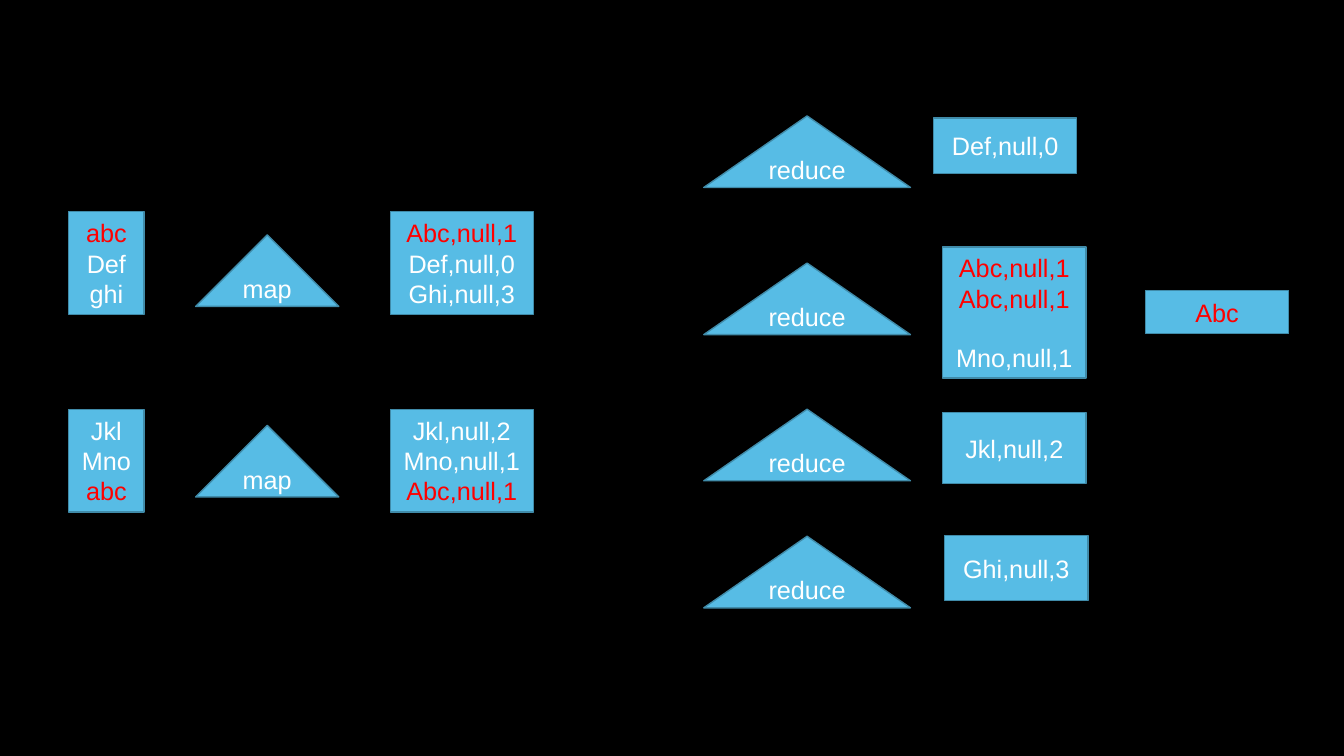
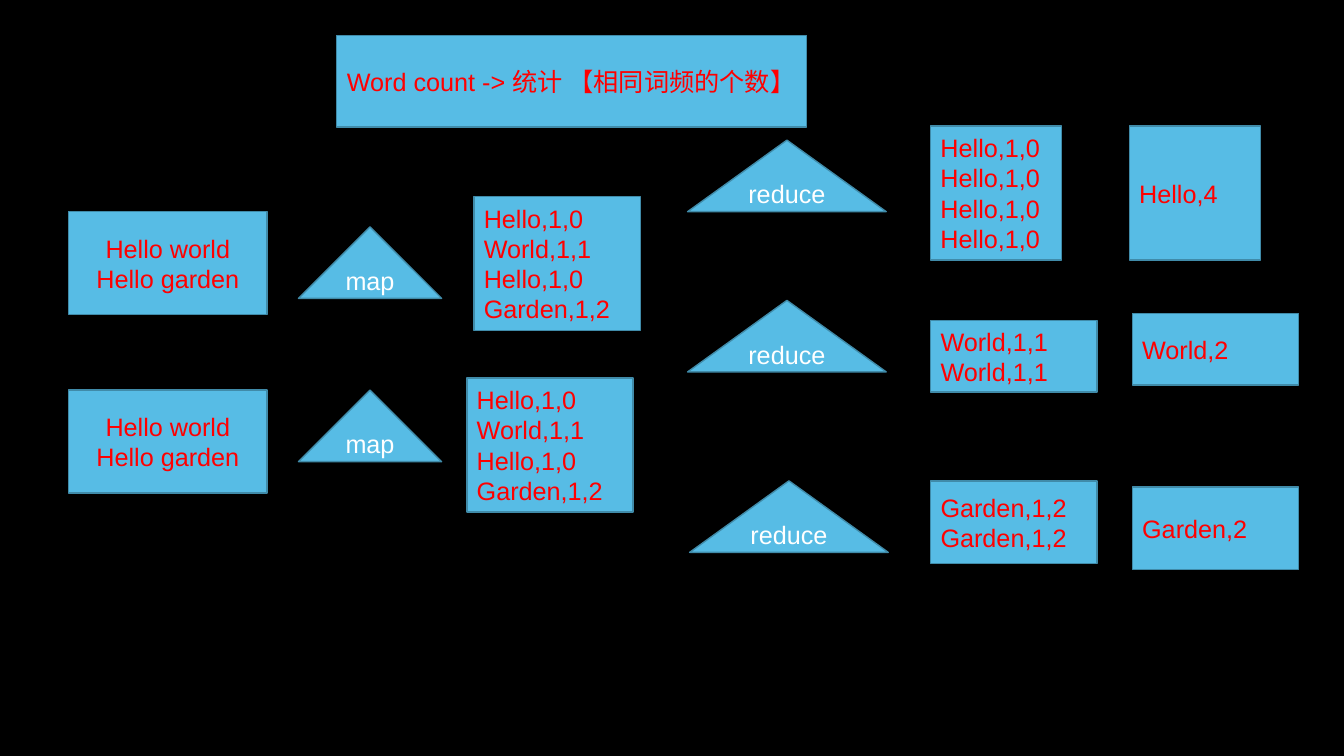
import pptx
import pptx.dml.color
import pptx.enum.shapes
import pptx.enum.text
import pptx.util

RGBColor = pptx.dml.color.RGBColor
BLACK = RGBColor(0x00, 0x00, 0x00)
SKY = RGBColor(0x57, 0xBC, 0xE5)
STEEL = RGBColor(0x40, 0x8B, 0xA9)
WHITE = RGBColor(0xFF, 0xFF, 0xFF)
RED = RGBColor(0xFF, 0x00, 0x00)

PX = 9144
SHAPES = pptx.enum.shapes.MSO_SHAPE
LEFT = pptx.enum.text.PP_ALIGN.LEFT
CENTER = pptx.enum.text.PP_ALIGN.CENTER
TITLE_ONLY, BLANK = 5, 6
LINE_GAP = pptx.util.Pt(20.7)


def apply(target, values):
    for name, value in values.items():
        setattr(target, name, value)


class FlowDeck:
    frame_format = {
        "word_wrap": True,
        "auto_size": pptx.enum.text.MSO_AUTO_SIZE.NONE,
        "vertical_anchor": pptx.enum.text.MSO_ANCHOR.MIDDLE,
    }
    font_format = {"name": "Arial", "size": pptx.util.Pt(18), "bold": False}
    red_words = ("abc", "hello", "world", "garden", "word count")

    def __init__(self):
        self.deck = pptx.Presentation()
        apply(self.deck, {"slide_width": 1333 * PX, "slide_height": 750 * PX})
        fill = self.deck.slide_master.background.fill
        fill.solid()
        fill.fore_color.rgb = BLACK
        self.page = None

    def new_page(self, layout):
        self.page = self.deck.slides.add_slide(self.deck.slide_layouts[layout])

    def dress(self, box, lines, align):
        box.shadow.inherit = False
        box.fill.solid()
        box.fill.fore_color.rgb = SKY
        box.line.color.rgb = STEEL
        box.line.width = pptx.util.Pt(1)
        apply(box.text_frame, self.frame_format)
        box.text_frame.text = "\n".join(lines)
        for para in box.text_frame.paragraphs:
            para.alignment = align
            for span in para.runs:
                apply(span.font, self.font_format)
                is_red = span.text.lower().startswith(self.red_words)
                span.font.color.rgb = RED if is_red else WHITE
        return box

    def shape(self, kind, left, top, width, height, lines, align):
        place = [length * PX for length in (left, top, width, height)]
        box = self.page.shapes.add_shape(kind, *place)
        return self.dress(box, lines, align)

    def title(self, left, top, width, height, text):
        box = self.page.shapes.title
        apply(box, {"left": left * PX, "top": top * PX,
                    "width": width * PX, "height": height * PX})
        self.dress(box, [text], LEFT)

    def data(self, left, top, width, height, *lines, align=CENTER):
        return self.shape(SHAPES.RECTANGLE, left, top, width, height, lines, align)

    def step(self, left, top, width, label):
        self.shape(SHAPES.ISOSCELES_TRIANGLE, left, top, width, 71, [label], CENTER)


def build_search_page(flow):
    flow.new_page(BLANK)
    splits = [
        (210, 233, [("abc", 1), ("Def", 0), ("ghi", 3)]),
        (406, 422, [("Jkl", 2), ("Mno", 1), ("abc", 1)]),
    ]
    for top, map_top, records in splits:
        flow.data(68, top, 75, 102, *[word for word, count in records])
        flow.step(194, map_top, 142, "map")
        flow.data(387, top, 142, 102,
                  *[f"{word.capitalize()},null,{count}" for word, count in records])
    for top in (115, 261, 406, 532):
        flow.step(698, top, 205, "reduce")

    flow.data(926, 117, 142, 55, "Def,null,0")
    group = flow.data(935, 245, 142, 130, "Abc,null,1", "Abc,null,1", "Mno,null,1")
    group.text_frame.paragraphs[-1].space_before = LINE_GAP
    flow.data(935, 409, 142, 71, "Jkl,null,2")
    flow.data(937, 531, 142, 65, "Ghi,null,3")
    flow.data(1136, 288, 142, 43, "Abc")


def build_count_page(flow):
    flow.new_page(TITLE_ONLY)
    flow.title(334, 35, 466, 91, "Word count -> 统计 【相同词频的个数】")
    splits = [(210, 225, 470, 195), (387, 387, 463, 375)]
    for top, map_top, pairs_left, pairs_top in splits:
        flow.data(68, top, 197, 102, "Hello world", "Hello garden")
        flow.step(296, map_top, 142, "map")
        flow.data(pairs_left, pairs_top, 165, 133,
                  "Hello,1,0", "World,1,1", "Hello,1,0", "Garden,1,2", align=LEFT)

    groups = [
        ("Hello", 0, 4, (682, 139), 125, (1120, 125), (130, 133)),
        ("World", 1, 2, (682, 298), 318, (1123, 311), (165, 71)),
        ("Garden", 2, 2, (684, 477), 477, (1123, 483), (165, 82)),
    ]
    for word, key, total, step_at, pairs_top, result_at, size in groups:
        flow.step(*step_at, 197, "reduce")
        flow.data(923, pairs_top, *size, *[f"{word},1,{key}"] * total, align=LEFT)
        flow.data(*result_at, *size, f"{word},{total}", align=LEFT)


def main():
    flow = FlowDeck()
    build_search_page(flow)
    build_count_page(flow)
    flow.deck.save("out.pptx")


if __name__ == "__main__":
    main()
